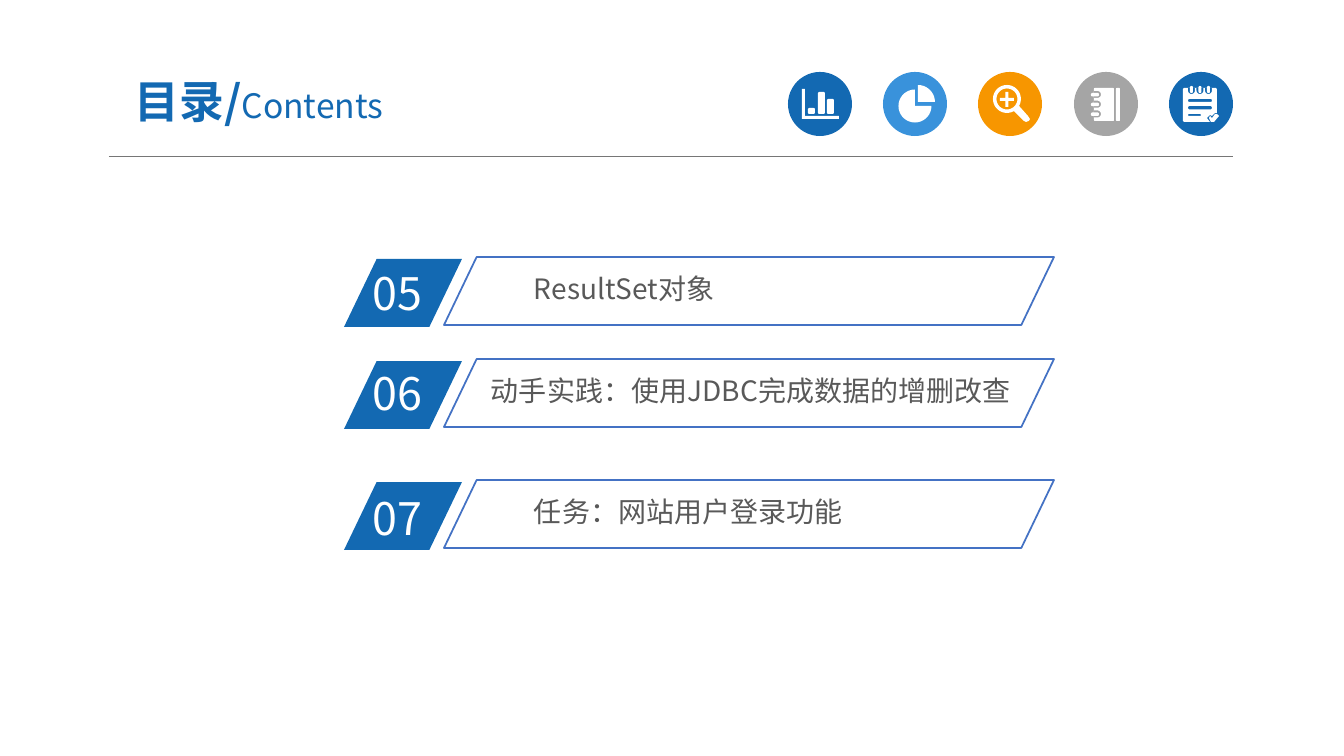
import math

import lxml.etree
import pptx
import pptx.dml.color
import pptx.enum.shapes
import pptx.enum.text
import pptx.oxml.ns
import pptx.util

SHAPE = pptx.enum.shapes.MSO_SHAPE
ALIGN = pptx.enum.text.PP_ALIGN
ANCHOR = pptx.enum.text.MSO_ANCHOR
FONT = "Noto Sans CJK SC"
COLORS = {
    "blue": "1369B2", "sky": "3992DB", "orange": "F79600", "grey": "A5A5A5",
    "outline": "4472C4", "rule": "767676", "text": "595959", "white": "FFFFFF",
}


def px(n):
    return round(n * 914400 / 100.8)


def rgb(name):
    return pptx.dml.color.RGBColor.from_string(COLORS[name])


def set_font(font, size, color, bold=False):
    font.size = pptx.util.Pt(size)
    font.bold = bold
    font.color.rgb = rgb(color)
    font.name = FONT
    # East Asian glyphs take their own typeface element
    ea = lxml.etree.Element(pptx.oxml.ns.qn("a:ea"), typeface=FONT)
    font._element.find(pptx.oxml.ns.qn("a:latin")).addnext(ea)


def paint(sp, fill=None, line=None):
    sp.shadow.inherit = False
    if fill:
        sp.fill.solid()
        sp.fill.fore_color.rgb = rgb(fill)
    else:
        sp.fill.background()
    if line:
        sp.line.color.rgb = rgb(line)
        sp.line.width = pptx.util.Pt(1.25)
    else:
        sp.line.fill.background()


def add_preset(shapes, kind, x, y, w, h, fill=None, line=None):
    sp = shapes.add_shape(kind, px(x), px(y), px(w), px(h))
    paint(sp, fill, line)
    return sp


def add_slanted(shapes, x, y, w, fill=None, line=None):
    sp = add_preset(shapes, SHAPE.PARALLELOGRAM, x, y, w, 68, fill, line)
    sp.adjustments[0] = 0.48


def add_text(shapes, x, y, w, h, runs, inset, align=ALIGN.LEFT, anchor=ANCHOR.TOP):
    """runs holds (text, size, color, bold) tuples."""
    tf = shapes.add_textbox(px(x), px(y), px(w), px(h)).text_frame
    tf.word_wrap = True
    tf.vertical_anchor = anchor
    tf.margin_left = tf.margin_right = px(inset[0])
    tf.margin_top = tf.margin_bottom = px(inset[1])
    p = tf.paragraphs[0]
    p.alignment = align
    for text, *style in runs:
        r = p.add_run()
        r.text = text
        set_font(p.font if len(runs) == 1 else r.font, *style)


def add_rule(shapes, x1, x2, y):
    line = shapes.add_connector(
        pptx.enum.shapes.MSO_CONNECTOR.STRAIGHT, px(x1), px(y), px(x2), px(y))
    line.line.color.rgb = rgb("rule")
    line.line.width = pptx.util.Pt(0.5)
    sppr = line._element.spPr
    lxml.etree.SubElement(sppr, pptx.oxml.ns.qn("a:effectLst"))


# Icon outlines, in pixels from the top left of the icon's disc

def arc(cx, cy, r, start, end):
    steps = max(6, round(abs(end - start) / 10))
    angles = [math.radians(start + (end - start) * i / steps) for i in range(steps + 1)]
    return [(cx + r * math.cos(a), cy + r * math.sin(a)) for a in angles]


def rounded(x, y, w, h, r):
    return (arc(x + r, y + r, r, 180, 270) + arc(x + w - r, y + r, r, 270, 360)
            + arc(x + w - r, y + h - r, r, 0, 90) + arc(x + r, y + h - r, r, 90, 180))


def bar_chart_icon():
    axes = [(14, 17), (17, 17), (17, 44), (51, 44), (51, 47), (14, 47)]
    bars = [(20, 36), (30, 20), (39, 27)]
    return [axes] + [rounded(x, y, 7, 42 - y, 1.5) for x, y in bars]


def pie_icon():
    return [[(35, 30)] + arc(35, 30, 17, 270, 360),
            [(32, 34)] + arc(32, 34, 16.5, 0, 270)]


def magnifier_icon():
    body = arc(29, 27, 14, 60, 390) + [(50, 44), (52, 47), (51, 49), (48, 50), (46, 49)]
    plus = [(22, 26), (27.5, 26), (27.5, 20), (30.5, 20), (30.5, 26), (36, 26),
            (36, 29), (30.5, 29), (30.5, 35), (27.5, 35), (27.5, 29), (22, 29)]
    return [body, arc(29, 27, 10.5, 0, 360), plus]


def notebook_icon():
    contours = [rounded(20, 16, 20, 33, 1), rounded(42, 16, 4, 33, 1)]
    for i in range(3):
        y = 19 + 9.75 * i
        contours.append([(20, y)] + arc(23.5, y + 3.5, 3.5, -90, 90) + [(20, y + 7)])
        contours.append(rounded(17, y + 2, 8, 3.5, 1.5))
    return contours


def notepad_icon():
    page = [(14, 17), (15, 16), (47, 16), (48, 17), (48, 41), (46, 41), (43, 44),
            (41, 43), (38, 46), (41, 50), (15, 50), (14, 49)]
    tick = [(40, 46), (41, 44), (43, 46), (46, 42), (48, 42), (50, 44), (45, 50), (42, 50)]
    contours = [page, tick]
    contours += [rounded(19, y, w, h, h / 2)
                 for y, w, h in [(27, 24, 3), (34, 24, 3.5), (42, 13, 2)]]
    for i in range(3):
        x = 19 + 8.5 * i
        contours.append([(x, 16)] + arc(x + 3.5, 18.5, 3.5, 180, 0) + [(x + 7, 16)])
        contours.append(rounded(x + 2, 14, 3, 7, 1.5))
    return contours


def add_icon(shapes, x, y, color, contours):
    add_preset(shapes, SHAPE.OVAL, x, y, 64, 64, color)
    builder = None
    for contour in contours:
        points = [(px(x + dx), px(y + dy)) for dx, dy in contour]
        if builder is None:
            builder = shapes.build_freeform(*points[0], scale=1.0)
        else:
            builder.move_to(*points[0])
        builder.add_line_segments(points[1:], close=True)
    paint(builder.convert_to_shape(), "white")


def add_entry(shapes, y, number, number_y, title, title_x, title_w):
    add_slanted(shapes, 344, y + 2, 118, fill="blue")
    add_text(shapes, 363, number_y, 113, 64, [(number, 32, "white")], (10, 5))
    add_text(shapes, title_x, y + 10, title_w, 41, [(title, 20, "text")], (7, 4))
    add_slanted(shapes, 444, y, 610, line="outline")


def main():
    prs = pptx.Presentation()
    prs.slide_width, prs.slide_height = px(1344), px(756)
    shapes = prs.slides.add_slide(prs.slide_layouts[6]).shapes

    # Header
    add_rule(shapes, 109, 1233, 156)
    icons = [("blue", bar_chart_icon), ("sky", pie_icon), ("orange", magnifier_icon),
             ("grey", notebook_icon), ("blue", notepad_icon)]
    for i, (color, outline) in enumerate(icons):
        add_icon(shapes, round(788 + 95.25 * i), 72, color, outline())
    add_text(shapes, 93, 64, 332, 73,
             [("目录/", 32, "blue", True), ("Contents", 24, "blue")],
             (13, 7), ALIGN.CENTER, ANCHOR.MIDDLE)

    # Contents entries
    add_entry(shapes, 257, "05", 261, "ResultSet对象", 527, 448)
    add_entry(shapes, 359, "06", 361, "动手实践：使用JDBC完成数据的增删改查", 484, 570)
    add_entry(shapes, 480, "07", 486, "任务：网站用户登录功能", 527, 448)

    prs.save("out.pptx")


main()
